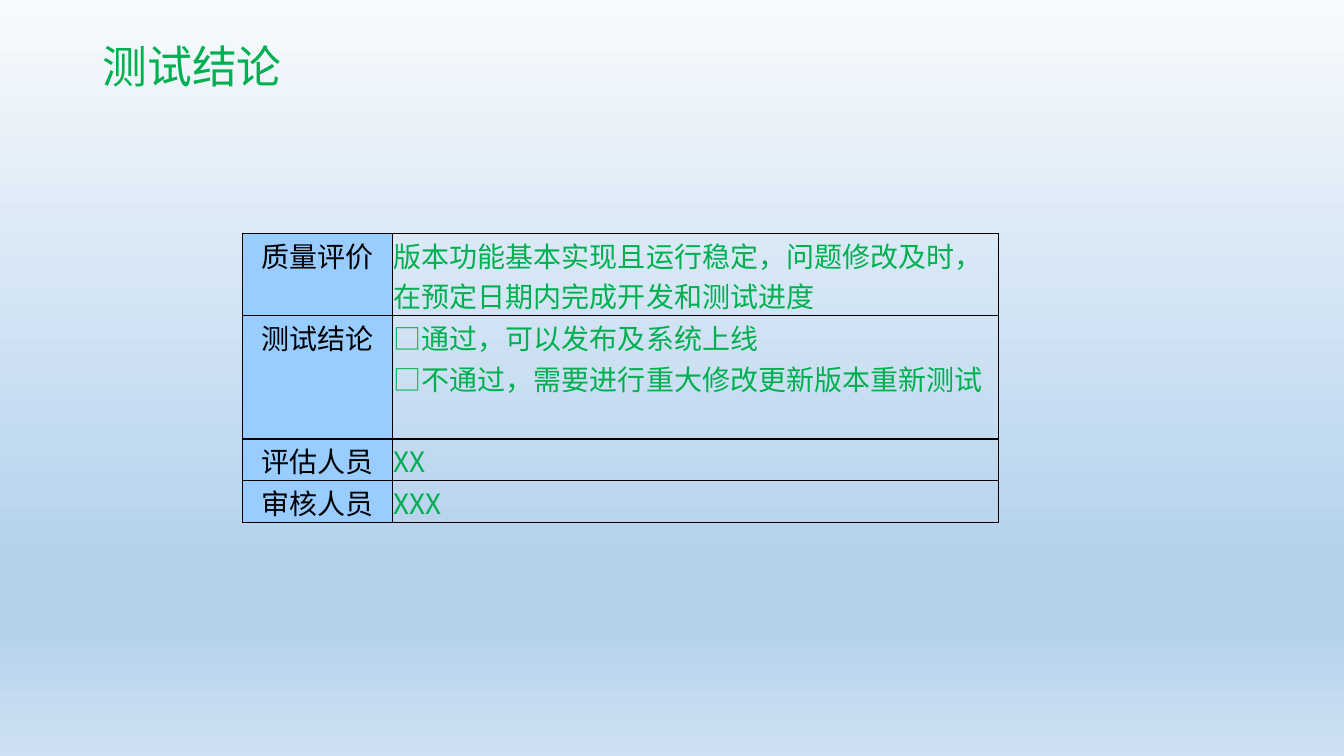
from lxml import etree
from pptx import Presentation
from pptx.dml.color import RGBColor
from pptx.enum import text
from pptx.oxml import ns
from pptx.util import Cm, Pt

FONT = "Noto Sans CJK SC"
COLORS = {
    "green": "00B050",
    "black": "000000",
    "label": "99CCFF",
    "sky_top": "F7FAFD",
    "sky_mid": "B5D2EC",
    "sky_low": "CEE1F2",
}
SKY_STOPS = [(0, "sky_top"), (74, "sky_mid"), (83, "sky_mid"), (100, "sky_low")]

# Label, text, row height in cm
CONCLUSIONS = [
    ("质量评价", "版本功能基本实现且运行稳定，问题修改及时，在预定日期内完成开发和测试进度", 2.08),
    ("测试结论", "□通过，可以发布及系统上线\n□不通过，需要进行重大修改更新版本重新测试\n", 3.1),
    ("评估人员", "XX", 1.05),
    ("审核人员", "XXX", 1.05),
]
HEADER_HEIGHTS = [0.96, 0.96]
COLUMN_WIDTHS = [3.78, 15.27]


def add_node(parent, tag, **attributes):
    node = etree.SubElement(parent, ns.qn(tag))
    for name, value in attributes.items():
        node.set(name, str(value))
    return node


def write_text(frame, words, size=20, color="black", align=None, spacing=None):
    """Fill a text frame with one paragraph, broken at each newline."""
    para = frame.paragraphs[0]
    para.alignment = align
    para.line_spacing = spacing
    for index, line in enumerate(words.split("\n")):
        if index:
            para.add_line_break()
        if line:
            span = para.add_run()
            span.text = line
            span.font.size = Pt(size)
            span.font.name = FONT
            span.font.color.rgb = RGBColor.from_string(COLORS[color])
            add_node(span.font._element, "a:ea", typeface=FONT)


def paint_background(page):
    fill = page.background.fill
    fill.gradient()
    fill.gradient_angle = 270
    stops = next(page.element.iter(ns.qn("a:gsLst")))
    for stop in list(stops):
        stops.remove(stop)
    for percent, color in SKY_STOPS:
        stop = add_node(stops, "a:gs", pos=percent * 1000)
        add_node(stop, "a:srgbClr", val=COLORS[color])


def add_title(page, words):
    title = page.shapes.title
    title.left, title.top = Cm(2.33), Cm(1)
    title.width, title.height = Cm(29.21), Cm(3.68)
    title.text_frame.vertical_anchor = text.MSO_ANCHOR.TOP
    write_text(title.text_frame, words, size=32, color="green",
               align=text.PP_ALIGN.LEFT, spacing=0.9)


def draw_borders(cell, color=None):
    properties = cell._tc.get_or_add_tcPr()
    for index, side in enumerate(["a:lnL", "a:lnR", "a:lnT", "a:lnB"]):
        line = add_node(properties, side, w=Pt(1))
        if color:
            add_node(add_node(line, "a:solidFill"), "a:srgbClr", val=COLORS[color])
        else:
            add_node(line, "a:noFill")
        properties.insert(index, line)


def format_cell(cell, words="", fill=None, border=None, **text_format):
    cell.margin_left = cell.margin_right = cell.margin_top = Cm(0.03)
    cell.margin_bottom = 0
    cell.vertical_anchor = text.MSO_ANCHOR.TOP
    if fill:
        cell.fill.solid()
        cell.fill.fore_color.rgb = RGBColor.from_string(COLORS[fill])
    else:
        cell.fill.background()
    draw_borders(cell, border)
    write_text(cell.text_frame, words, **text_format)


def add_conclusion_table(page):
    heights = HEADER_HEIGHTS + [height for _, _, height in CONCLUSIONS]
    frame = page.shapes.add_table(len(heights), len(COLUMN_WIDTHS), Cm(6.11), Cm(3.96),
                                  Cm(sum(COLUMN_WIDTHS)), Cm(sum(heights)))
    table = frame.table
    table.first_row = table.horz_banding = False
    for column, width in zip(table.columns, COLUMN_WIDTHS):
        column.width = Cm(width)
    rows = list(table.rows)
    for row, height in zip(rows, heights):
        row.height = Cm(height)

    # Open header rows
    header_count = len(HEADER_HEIGHTS)
    for row in rows[:header_count]:
        for cell in row.cells:
            format_cell(cell)
    table.cell(0, 0).merge(table.cell(0, 1))

    # Conclusions
    for row, (label, words, _) in zip(rows[header_count:], CONCLUSIONS):
        format_cell(row.cells[0], label, fill="label", border="black",
                    align=text.PP_ALIGN.CENTER)
        format_cell(row.cells[1], words, border="black", color="green",
                    align=text.PP_ALIGN.LEFT)


def main():
    deck = Presentation()
    deck.slide_width, deck.slide_height = Cm(33.87), Cm(19.05)
    page = deck.slides.add_slide(deck.slide_layouts[5])  # Title only
    paint_background(page)
    add_title(page, "测试结论")
    add_conclusion_table(page)
    deck.save("out.pptx")


if __name__ == "__main__":
    main()
